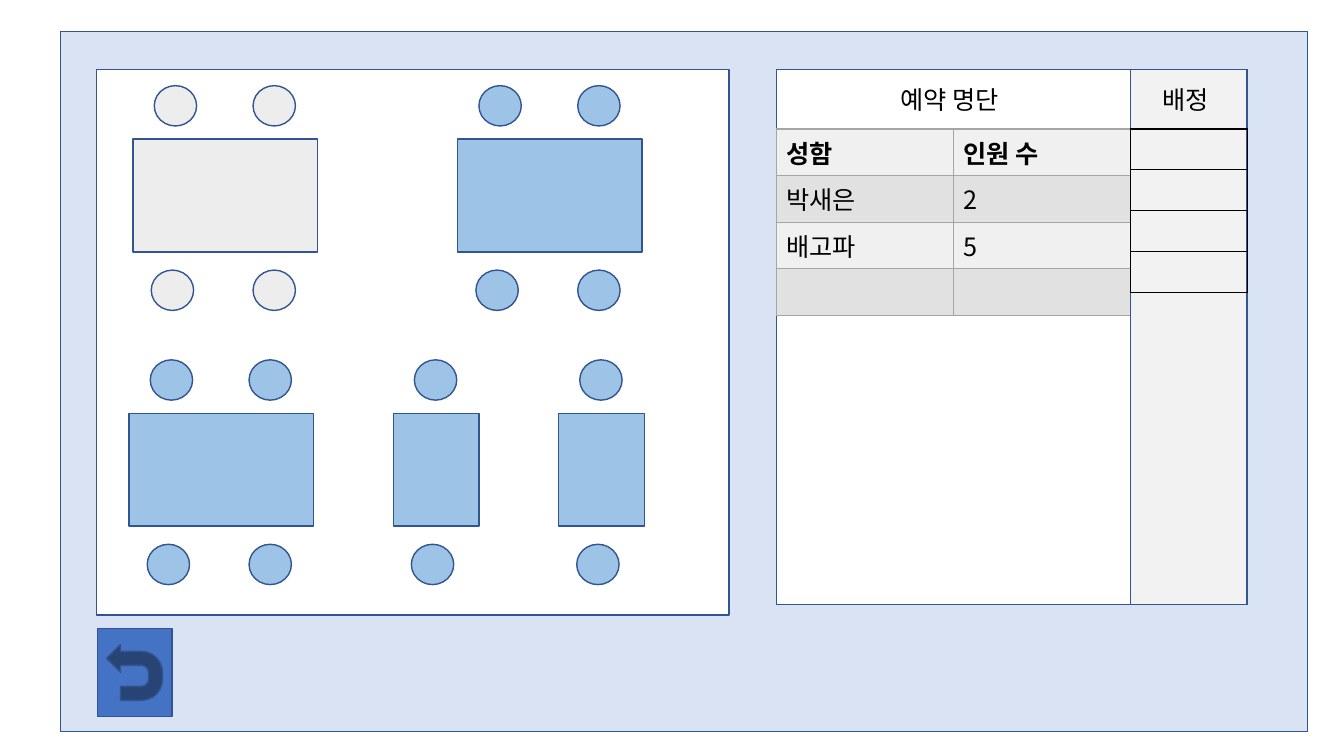
from collections import namedtuple

from lxml import etree
from pptx import Presentation
from pptx.dml.color import RGBColor
from pptx.enum import shapes, text
from pptx.oxml import ns
from pptx.util import Inches, Pt

Box = namedtuple("Box", "left top width height")
SHAPE = shapes.MSO_SHAPE


class Theme:
    font, size, line_width = "Noto Sans CJK KR", 18, 1
    ink, outline, backdrop, panel = "000000", "325491", "DAE3F3", "FFFFFF"
    free, taken, button = "9DC3E6", "EDEDED", "4472C4"
    assignment, grid = "F2F2F2", "A5A5A5"
    bands = ("F0F0F0", "E1E1E1")


def inches(box):
    return [Inches(value) for value in box]


def add_block(page, kind, box, color):
    block = page.shapes.add_shape(kind, *inches(box))
    block.shadow.inherit = False
    block.fill.solid()
    block.fill.fore_color.rgb = RGBColor.from_string(color)
    block.line.color.rgb = RGBColor.from_string(Theme.outline)
    block.line.width = Pt(Theme.line_width)
    return block


def write(frame, words, bold=False, align=text.PP_ALIGN.LEFT):
    para = frame.paragraphs[0]
    para.text = words
    para.alignment = align
    font = para.font
    font.name, font.size, font.bold = Theme.font, Pt(Theme.size), bold
    font.color.rgb = RGBColor.from_string(Theme.ink)
    # Hangul takes its typeface from the East Asian slot
    defaults = para._p.find(ns.qn("a:pPr")).find(ns.qn("a:defRPr"))
    etree.SubElement(defaults, ns.qn("a:ea"), typeface=Theme.font)


def add_label(page, box, words, align=text.PP_ALIGN.LEFT):
    label = page.shapes.add_textbox(*inches(box))
    label.text_frame.word_wrap = True
    write(label.text_frame, words, align=align)


def set_borders(cell, color):
    properties = cell._tc.get_or_add_tcPr()
    for side in ("lnL", "lnR", "lnT", "lnB"):
        border = etree.SubElement(properties, ns.qn(f"a:{side}"),
                                  w=str(Pt(Theme.line_width)))
        fill = etree.SubElement(border, ns.qn("a:solidFill"))
        etree.SubElement(fill, ns.qn("a:srgbClr"), val=color)


def add_grid(page, box, rows, border, bands=None):
    """Fill the box with equal rows and columns; without bands it is clear."""
    grid = page.shapes.add_table(len(rows), len(rows[0]), *inches(box)).table
    grid.first_row = grid.horz_banding = False
    for column in grid.columns:
        column.width = Inches(box.width / len(rows[0]))
    for index, values in enumerate(rows):
        grid.rows[index].height = Inches(box.height / len(rows))
        for cell, value in zip(grid.rows[index].cells, values):
            set_borders(cell, border)
            if bands:
                cell.fill.solid()
                color = bands[index % len(bands)]
                cell.fill.fore_color.rgb = RGBColor.from_string(color)
            else:
                cell.fill.background()
            write(cell.text_frame, value, bold=bool(bands) and index == 0)


def add_dining_table(page, box, color):
    """A table with one or two seats above and below, by its width."""
    add_block(page, SHAPE.RECTANGLE, box, color)
    for first, drop in ((0.21, -0.53), (0.18, 1.3)):
        for offset in (first, 1.19):
            if offset < box.width / 2 or box.width > 1:
                seat = Box(box.left + offset, box.top + drop, 0.42, 0.4)
                add_block(page, SHAPE.FLOWCHART_CONNECTOR, seat, color)


def add_floor_plan(page, box):
    add_block(page, SHAPE.RECTANGLE, box, Theme.panel)
    wide, narrow = 1.83, 0.85
    tables = ((0.36, 0.69, wide, Theme.taken), (3.58, 0.69, wide, Theme.free),
              (0.32, 3.41, wide, Theme.free), (2.94, 3.41, narrow, Theme.free),
              (4.58, 3.41, narrow, Theme.free))
    for left, top, width, color in tables:
        place = Box(box.left + left, box.top + top, width, 1.12)
        add_dining_table(page, place, color)


def add_reservations(page, box):
    head, side = 0.59, 1.16
    list_width = box.width - side
    side_left = box.left + list_width
    grid_top, label_top = box.top + head, box.top + 0.1

    # Reservation list
    add_block(page, SHAPE.RECTANGLE, box, Theme.panel)
    add_label(page, Box(box.left + 0.03, label_top, 3.38, 0.4), "예약 명단",
              text.PP_ALIGN.CENTER)
    guests = (("성함", "인원 수"), ("박새은", "2"), ("배고파", "5"), ("", ""))
    add_grid(page, Box(box.left, grid_top, list_width, 1.85), guests,
             Theme.grid, Theme.bands)

    # Assignment column
    add_block(page, SHAPE.RECTANGLE,
              Box(side_left, box.top, side, box.height), Theme.assignment)
    add_label(page, Box(side_left + 0.22, label_top, 0.91, 0.4), "배정")
    add_grid(page, Box(side_left, grid_top, side, 1.62), [("",)] * 4, Theme.ink)


def add_return_button(page, box):
    button = add_block(page, SHAPE.ACTION_BUTTON_RETURN, box, Theme.button)
    button.rotation = 270


def build_reservation_page(page, box):
    add_block(page, SHAPE.RECTANGLE, box, Theme.backdrop)
    add_floor_plan(page, Box(box.left + 0.36, box.top + 0.38, 6.27, 5.41))
    add_reservations(page, Box(box.left + 7.1, box.top + 0.38, 4.67, 5.31))
    add_return_button(page, Box(box.left + 0.3, box.top + 5.99, 0.87, 0.74))


deck = Presentation()
deck.slide_width, deck.slide_height = Inches(13.33), Inches(7.5)
blank_layout = deck.slide_layouts[6]
build_reservation_page(deck.slides.add_slide(blank_layout),
                       Box(0.6, 0.31, 12.37, 6.95))
deck.save("out.pptx")
